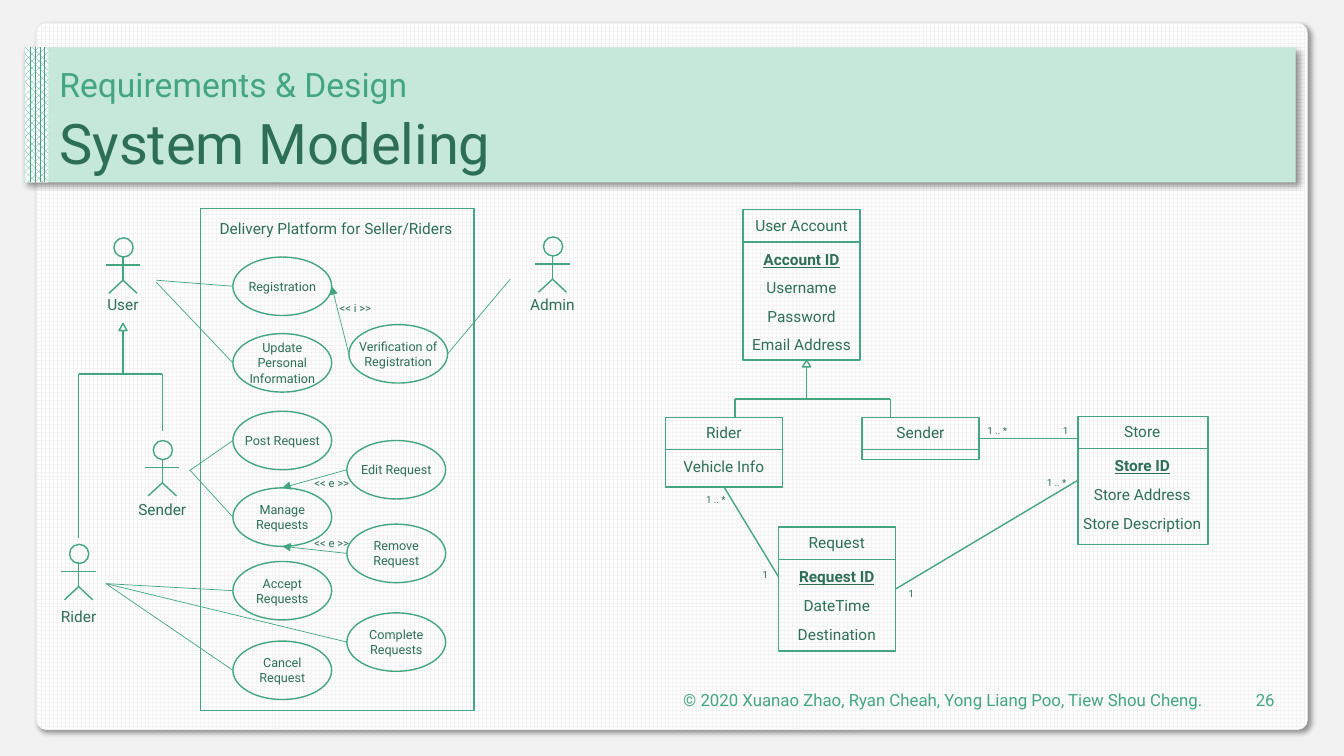
from dataclasses import dataclass

from lxml import etree
from pptx import Presentation
from pptx.dml.color import RGBColor
from pptx.enum.dml import MSO_PATTERN as Pattern
from pptx.enum.shapes import MSO_CONNECTOR as Connector, MSO_SHAPE as Preset
from pptx.enum.text import MSO_ANCHOR as Anchor, PP_ALIGN as Align
from pptx.oxml.ns import qn
from pptx.util import Pt

PX = 9144  # 100 px to the inch


@dataclass(frozen=True)
class Theme:
    font: str = "Roboto"
    green: RGBColor = RGBColor(0x43, 0xA6, 0x80)
    dark: RGBColor = RGBColor(0x2D, 0x6F, 0x55)
    mint: RGBColor = RGBColor(0xC6, 0xE8, 0xDB)
    grey: RGBColor = RGBColor(0xF2, 0xF2, 0xF2)
    white: RGBColor = RGBColor(0xFF, 0xFF, 0xFF)
    title: int = 40
    subtitle: int = 24
    footer: int = 12
    label: int = 11
    use_case: int = 9
    stereotype: int = 8
    multiplicity: int = 7
    outline: float = 1
    thin: float = 0.5


THEME = Theme()


def emu(*lengths):
    return [length * PX for length in lengths]


def write(shape, text, size, color=THEME.dark, align=Align.CENTER, anchor=Anchor.TOP,
          wrap=True, key=False, spacing=None):
    frame = shape.text_frame
    frame.word_wrap = wrap
    frame.vertical_anchor = anchor
    paragraph = frame.paragraphs[0]
    paragraph.alignment = align
    paragraph.line_spacing = spacing
    for index, line in enumerate(text.split("\n")):
        if index:
            paragraph.add_line_break()
        run = paragraph.add_run()
        run.text = line
        run.font.name = THEME.font
        run.font.size = Pt(size)
        run.font.color.rgb = color
        if key:
            run.font.bold = run.font.underline = True


def add_text(slide, box, text, size, **style):
    write(slide.shapes.add_textbox(*emu(*box)), text, size, **style)


def add_preset(slide, preset, box):
    """Add a preset shape without fill, line or shadow."""
    shape = slide.shapes.add_shape(preset, *emu(*box))
    shape.shadow.inherit = False
    shape.fill.background()
    shape.line.fill.background()
    return shape


def add_outline(slide, preset, box):
    shape = add_preset(slide, preset, box)
    shape.line.color.rgb = THEME.green
    shape.line.width = Pt(THEME.outline)
    return shape


def add_line(slide, start, end, width=THEME.outline, arrow=False):
    line = slide.shapes.add_connector(Connector.STRAIGHT, *emu(*start, *end))
    line.line.color.rgb = THEME.green
    line.line.width = Pt(width)
    properties = line.element.spPr
    if arrow:
        etree.SubElement(properties.find(qn("a:ln")), qn("a:tailEnd"), type="triangle")
    etree.SubElement(properties, qn("a:effectLst"))
    return line


def cast_shadow(shape):
    effects = shape.element.spPr.find(qn("a:effectLst"))
    shadow = etree.SubElement(effects, qn("a:outerShdw"), blurRad=str(Pt(4)),
                              dist=str(Pt(3)), dir="2700000", algn="tl", rotWithShape="0")
    color = etree.SubElement(shadow, qn("a:srgbClr"), val="000000")
    etree.SubElement(color, qn("a:alpha"), val="40000")


def fill_pattern(shape, pattern, color):
    shape.fill.patterned()
    shape.fill.pattern = pattern
    shape.fill.fore_color.rgb = color
    shape.fill.back_color.rgb = THEME.white


def add_frame(slide):
    """Add the page, the title band and the footer."""
    slide.background.fill.solid()
    slide.background.fill.fore_color.rgb = THEME.grey
    page = add_preset(slide, Preset.ROUNDED_RECTANGLE, (36, 23, 1261, 701))
    page.adjustments[0] = 0.014
    fill_pattern(page, Pattern.LARGE_GRID, THEME.grey)
    cast_shadow(page)
    band = add_preset(slide, Preset.RECTANGLE, (24, 47, 1261, 134))
    band.fill.solid()
    band.fill.fore_color.rgb = THEME.mint
    cast_shadow(band)
    edge = add_preset(slide, Preset.RECTANGLE, (25, 47, 23, 134))
    fill_pattern(edge, Pattern.PERCENT_70, THEME.green)

    heading = dict(align=Align.LEFT, anchor=Anchor.BOTTOM, spacing=0.9)
    add_text(slide, (49, 54, 1235, 55), "Requirements & Design", THEME.subtitle,
             color=THEME.green, **heading)
    add_text(slide, (49, 109, 1235, 71), "System Modeling", THEME.title, **heading)
    footer = dict(color=THEME.green, align=Align.RIGHT, anchor=Anchor.MIDDLE)
    add_text(slide, (544, 674, 659, 40),
             "© 2020 Xuanao Zhao, Ryan Cheah, Yong Liang Poo, Tiew Shou Cheng.",
             THEME.footer, **footer)
    add_text(slide, (1215, 674, 59, 40), "26", THEME.footer, **footer)


def add_actor(slide, name, center, top, label_top):
    add_outline(slide, Preset.OVAL, (center - 9, top, 19, 19))
    hip = (center, top + 42)
    add_line(slide, (center, top + 18), hip)
    add_line(slide, (center - 17, top + 27), (center + 17, top + 27))
    for side in (-1, 1):
        add_line(slide, hip, (center + side * 14, top + 55))
    add_text(slide, (center - 38, label_top, 76, 29), name, THEME.label)


def add_use_case(slide, text, left, top):
    oval = add_outline(slide, Preset.OVAL, (left, top, 98, 58))
    write(oval, text, THEME.use_case, anchor=Anchor.MIDDLE, wrap=False)


def add_entity(slide, name, left, top, width, height, attributes):
    box = add_outline(slide, Preset.RECTANGLE, (left, top, width, height))
    add_line(slide, (left, top + 32), (left + width, top + 32))
    rows = [(name, top + 1)]
    rows += [(text, top + 35 + index * 57 // 2) for index, text in enumerate(attributes)]
    for text, row_top in rows:
        row_width = 140 if len(text) > 12 else 116
        add_text(slide, (left + (width - row_width) // 2, row_top, row_width, 29),
                 text, THEME.label, key=text.endswith(" ID"))
    return box


def add_generalization(slide, stem, tip, bar, branches):
    """Join the branches, given as (x, bottom), by a bar below a hollow arrowhead."""
    for x, bottom in branches:
        add_line(slide, (x, bottom), (x, bar))
    add_line(slide, (branches[0][0], bar), (branches[-1][0], bar))
    add_line(slide, (stem, bar), (stem, tip + 7))
    add_outline(slide, Preset.ISOSCELES_TRIANGLE, (stem - 4, tip, 8, 7))


def add_use_case_diagram(slide):
    add_outline(slide, Preset.RECTANGLE, (199, 207, 271, 498))
    add_text(slide, (208, 212, 252, 29), "Delivery Platform for Seller/Riders",
             THEME.label, align=Align.LEFT)
    for actor in (("User", 122, 236, 288), ("Sender", 161, 437, 491),
                  ("Rider", 78, 540, 597), ("Admin", 548, 235, 288)):
        add_actor(slide, *actor)
    for use_case in (("Registration", 231, 255), ("Update\nPersonal\nInformation", 231, 331),
                     ("Post Request", 231, 408), ("Manage\nRequests", 231, 484),
                     ("Accept\nRequests", 231, 557), ("Cancel\nRequest", 231, 636),
                     ("Verification of\nRegistration", 346, 322), ("Edit Request", 344, 437),
                     ("Remove\nRequest", 344, 520), ("Complete\nRequests", 344, 608)):
        add_use_case(slide, *use_case)
    for start, end in (((506, 277), (444, 351)), ((231, 284), (155, 278)),
                       ((231, 360), (155, 280)), ((231, 437), (188, 467)),
                       ((231, 513), (188, 466)), ((231, 586), (105, 579)),
                       ((344, 637), (105, 579)), ((231, 665), (105, 579))):
        add_line(slide, start, end, THEME.thin)
    for start, end, text, left, top in (((344, 466), (280, 484), "<< e >>", 302, 468),
                                        ((344, 549), (280, 542), "<< e >>", 302, 527),
                                        ((346, 351), (329, 284), "<< i >>", 327, 294)):
        add_line(slide, start, end, THEME.thin, arrow=True)
        add_text(slide, (left, top, 61, 24), text, THEME.stereotype, align=Align.LEFT)
    add_generalization(slide, 122, 321, 371, ((78, 534), (161, 428)))


def add_class_diagram(slide):
    add_entity(slide, "User Account", 737, 208, 116, 149,
               ("Account ID", "Username", "Password", "Email Address"))
    rider = add_entity(slide, "Rider", 660, 414, 116, 69, ("Vehicle Info",))
    sender = add_entity(slide, "Sender", 855, 414, 116, 42, ())
    store = add_entity(slide, "Store", 1069, 413, 129, 127,
                       ("Store ID", "Store Address", "Store Description"))
    request = add_entity(slide, "Request", 772, 523, 116, 123,
                         ("Request ID", "DateTime", "Destination"))
    add_generalization(slide, 800, 357, 396, ((729, 414), (883, 414)))

    add_line(slide, (971, 435), (1069, 435)).begin_connect(sender, 3)
    add_line(slide, (718, 483), (772, 572)).begin_connect(rider, 2)
    delivery = add_line(slide, (888, 585), (1069, 477))
    delivery.begin_connect(request, 3)
    delivery.end_connect(store, 1)
    for text, left, top in (("1 .. *", 967, 416), ("1", 1035, 416), ("1", 882, 578),
                            ("1 .. *", 1026, 468), ("1 .. *", 688, 485), ("1", 737, 559)):
        add_text(slide, (left, top, 44, 22), text, THEME.multiplicity)


def main():
    presentation = Presentation()
    presentation.slide_width, presentation.slide_height = emu(1333, 750)
    slide = presentation.slides.add_slide(presentation.slide_layouts[6])
    add_frame(slide)
    add_use_case_diagram(slide)
    add_class_diagram(slide)
    presentation.save("out.pptx")


if __name__ == "__main__":
    main()
